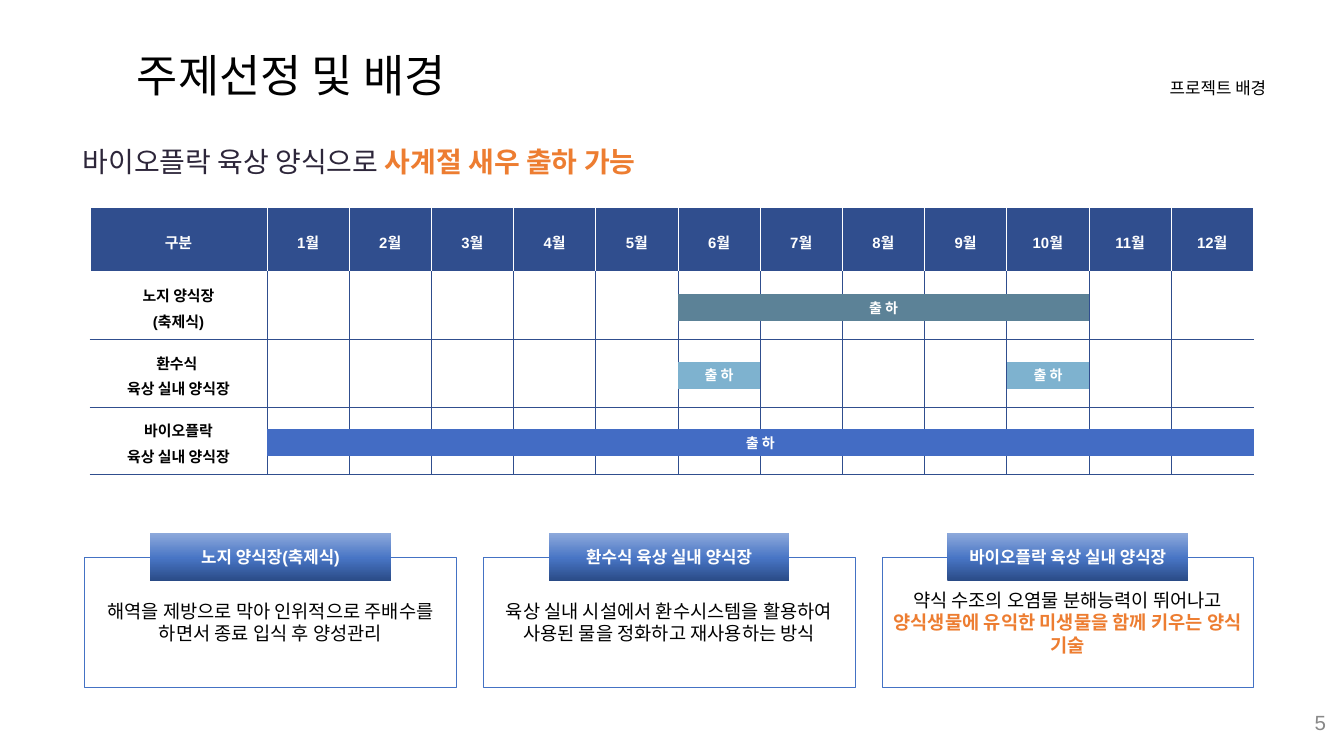
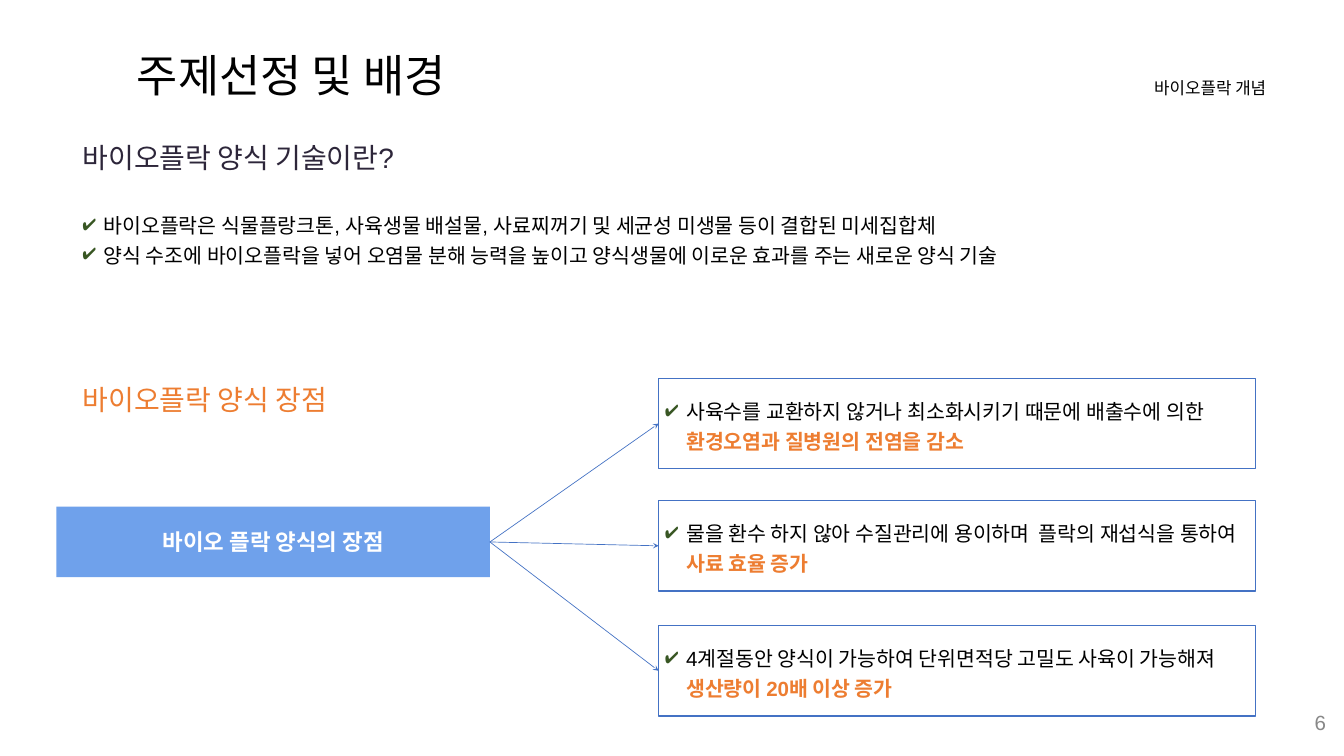
from copy import deepcopy

from lxml import etree
from pptx import Presentation
from pptx.dml.color import RGBColor
from pptx.enum.shapes import MSO_CONNECTOR, MSO_SHAPE
from pptx.enum.text import MSO_ANCHOR, PP_ALIGN
from pptx.oxml.ns import qn
from pptx.util import Pt

RECT = MSO_SHAPE.RECTANGLE
FLOW = MSO_SHAPE.FLOWCHART_PROCESS
STRAIGHT = MSO_CONNECTOR.STRAIGHT
TOP, MIDDLE = MSO_ANCHOR.TOP, MSO_ANCHOR.MIDDLE
LEFT, CENTER, RIGHT = PP_ALIGN.LEFT, PP_ALIGN.CENTER, PP_ALIGN.RIGHT

FONT = "Arial"
BLACK = RGBColor(0, 0, 0)
WHITE = RGBColor(0xFF, 0xFF, 0xFF)
INK = RGBColor(0x2D, 0x26, 0x3A)
GRAY = RGBColor(0x88, 0x88, 0x88)
ORANGE = RGBColor(0xED, 0x7D, 0x31)
GREEN = RGBColor(0x38, 0x56, 0x23)
NAVY = RGBColor(0x30, 0x4E, 0x8E)
BLUE = RGBColor(0x44, 0x72, 0xC4)
SKY = RGBColor(0x6F, 0xA1, 0xEB)
TEAL = RGBColor(0x5C, 0x82, 0x97)
PALE = RGBColor(0x7E, 0xB2, 0xCF)
ROYAL = RGBColor(0x43, 0x6C, 0xC4)
FADE = [
    (0, RGBColor(0x2A, 0x4B, 0x86)),
    (0.48, RGBColor(0x48, 0x75, 0xC5)),
    (1, RGBColor(0x8D, 0xA9, 0xDB)),
]

TITLE = "주제선정 및 배경"
HEAD = ["구분"] + [f"{month}월" for month in range(1, 13)]
FARMS = [
    ["노지 양식장", "(축제식)"],
    ["환수식 ", "육상 실내 양식장"],
    ["바이오플락", "육상 실내 양식장"],
]
SHIP = "출 하"
BARS = [(1, 6, 10, TEAL), (2, 6, 6, PALE), (2, 10, 10, PALE), (3, 1, 12, ROYAL)]
CARDS = [
    ("노지 양식장(축제식)",
     [("해역을 제방으로 막아 인위적으로 주배수를 하면서 종료 입식 후 양성관리", BLACK)]),
    ("환수식 육상 실내 양식장",
     [("육상 실내 시설에서 환수시스템을 활용하여 사용된 물을 정화하고 재사용하는 방식", BLACK)]),
    ("바이오플락 육상 실내 양식장",
     [("약식 수조의 오염물 분해능력이 뛰어나고 ", BLACK),
      ("양식생물에 유익한 미생물을 함께 키우는 양식 기술", ORANGE, True)]),
]
FACTS = [
    "바이오플락은 식물플랑크톤, 사육생물 배설물, 사료찌꺼기 및 세균성 미생물 등이 결합된 미세집합체",
    "양식 수조에 바이오플락을 넣어 오염물 분해 능력을 높이고 양식생물에 이로운 효과를 주는 새로운 양식 기술",
]
HUB = "바이오 플락 양식의 장점"
GAINS = [
    (405.4, "사육수를 교환하지 않거나 최소화시키기 때문에 배출수에 의한 ",
     "환경오염과 질병원의 전염을 감소"),
    (536.4, "물을 환수 하지 않아 수질관리에 용이하며  플락의 재섭식을 통하여 ",
     "사료 효율 증가"),
    (670.3, "4계절동안 양식이 가능하여 단위면적당 고밀도 사육이 가능해져 ",
     "생산량이 20배 이상 증가"),
]

GRID_X, GRID_Y = 96.5, 221.8
NAME_W, MONTH_W = 189.5, 88.1
HEAD_H, ROW_H = 70, 72.2
BAR_H = 28.8
CARD_X, CARD_Y, CARD_W, CARD_H, CARD_STEP = 90.7, 596.9, 398.2, 139.7, 427.1
TAB_W, TAB_H = 257.8, 51.1


def add(parent, tag, **attrs):
    return etree.SubElement(parent, qn(tag), attrs)


def paint(parent, color):
    add(add(parent, "a:solidFill"), "a:srgbClr", val=str(color))


def tick(para):
    props = para._p.get_or_add_pPr()
    props.set("marL", str(Pt(22.5)))
    props.set("indent", str(-Pt(22.5)))
    add(add(props, "a:buClr"), "a:srgbClr", val=str(GREEN))
    add(props, "a:buChar", char="✔")


def write(frame, paras, size, align=LEFT, anchor=MIDDLE, space=None, bullet=False):
    frame.word_wrap = True
    frame.vertical_anchor = anchor
    for i, runs in enumerate(paras):
        para = frame.add_paragraph() if i else frame.paragraphs[0]
        para.alignment = align
        if space:
            para.line_spacing = space
        if bullet:
            tick(para)
        para.font.name, para.font.size = FONT, Pt(size)
        if len(runs) == 1:
            para.font.color.rgb = runs[0][1]
            para.font.bold = len(runs[0]) > 2
        for text, color, *bold in runs:
            run = para.add_run()
            run.text = text
            if len(runs) > 1:
                run.font.color.rgb = color
                run.font.bold = bool(bold)


def label(slide, box, paras, size, **style):
    shape = slide.shapes.add_textbox(*map(Pt, box))
    write(shape.text_frame, paras, size, **style)


def block(slide, box, fill=None, line=None, kind=RECT):
    shape = slide.shapes.add_shape(kind, *map(Pt, box))
    shape.shadow.inherit = False
    if fill:
        shape.fill.solid()
        shape.fill.fore_color.rgb = fill
    else:
        shape.fill.background()
    if line:
        shape.line.color.rgb = BLUE
        shape.line.width = Pt(line)
    else:
        shape.line.fill.background()
    return shape


def fade(shape):
    shape.fill.gradient()
    shape.fill.gradient_angle = 90
    stops = shape._element.spPr.find(".//" + qn("a:gsLst"))
    stops.append(deepcopy(stops[0]))
    for stop, (place, color) in zip(shape.fill.gradient_stops, FADE):
        stop.position = place
        stop.color.rgb = color


def edge(cell, row, col):
    props = cell._tc.get_or_add_tcPr()
    white = {
        "L": row == 0 or col == 0,
        "R": row == 0 or col == len(HEAD) - 1,
        "T": row < 2,
        "B": row == 0,
    }
    for side, plain in white.items():
        width = 3 if plain and side == "B" else 1 if plain else 0.75
        line = add(props, f"a:ln{side}", w=str(Pt(width)))
        paint(line, WHITE if plain else NAVY)


def start(deck, topic, page):
    slide = deck.slides.add_slide(deck.slide_layouts[6])
    label(slide, (139.7, 47.5, 469.4, 65.5), [[(TITLE, BLACK)]], 48)
    label(slide, (1129.7, 79.9, 234, 28.8), [[(topic, BLACK)]], 18,
          align=RIGHT, anchor=TOP)
    label(slide, (1103.8, 752.4, 324, 43.2), [[(str(page), GRAY)]], 22, align=RIGHT)
    return slide


def lead(slide, top, runs):
    label(slide, (81.4, top, 672.5, 43.9), [runs], 30, anchor=TOP)


def calendar(slide):
    width = NAME_W + MONTH_W * 12
    height = HEAD_H + ROW_H * len(FARMS)
    table = slide.shapes.add_table(
        len(FARMS) + 1, len(HEAD), *map(Pt, (GRID_X, GRID_Y, width, height))).table
    table.first_row = table.horz_banding = False
    for i, col in enumerate(table.columns):
        col.width = Pt(MONTH_W if i else NAME_W)
    for i, row in enumerate(table.rows):
        row.height = Pt(ROW_H if i else HEAD_H)
        for j, cell in enumerate(row.cells):
            edge(cell, i, j)
            cell.fill.solid()
            cell.fill.fore_color.rgb = WHITE if i else NAVY
            cell.vertical_anchor = MIDDLE
            lines = [HEAD[j]] if i == 0 else FARMS[i - 1] if j == 0 else []
            color = BLACK if i else WHITE
            write(cell.text_frame, [[(text, color, True)] for text in lines], 16,
                  align=CENTER, space=1.2)
    for row, first, last, color in BARS:
        left = GRID_X + NAME_W + (first - 1) * MONTH_W
        top = GRID_Y + HEAD_H + (row - 0.5) * ROW_H - BAR_H / 2 + 2
        box = left, top, (last - first + 1) * MONTH_W, BAR_H
        bar = block(slide, box, color, kind=FLOW)
        write(bar.text_frame, [[(SHIP, WHITE, True)]], 15, align=CENTER)


def cards(slide):
    for i, (name, runs) in enumerate(CARDS):
        left = CARD_X + i * CARD_STEP
        card = block(slide, (left, CARD_Y, CARD_W, CARD_H), line=0.75)
        write(card.text_frame, [runs], 20, align=CENTER)
        tab = block(slide, (left + (CARD_W - TAB_W) / 2, CARD_Y - TAB_H / 2,
                            TAB_W, TAB_H))
        fade(tab)
        write(tab.text_frame, [[(name, WHITE, True)]], 18, align=CENTER)


def arrow(slide, source, target):
    line = slide.shapes.add_connector(STRAIGHT, 0, 0, 0, 0)
    line.begin_connect(source, 3)
    line.end_connect(target, 1)
    line.line.color.rgb = BLUE
    line.line.width = Pt(0.75)
    add(line.line._get_or_add_ln(), "a:tailEnd", type="stealth")
    add(line._element.spPr, "a:effectLst")


def gains(slide):
    hub = block(slide, (60.5, 542.9, 464.4, 75.6), SKY)
    write(hub.text_frame, [[(HUB, WHITE, True)]], 24, align=CENTER)
    for top, cause, result in GAINS:
        gain = block(slide, (705.6, top, 639.4, 96.8), WHITE, 1.5)
        write(gain.text_frame, [[(cause, BLACK), (result, ORANGE, True)]], 22,
              space=1.2, bullet=True)
        arrow(slide, hub, gain)


def main():
    deck = Presentation()
    deck.slide_width, deck.slide_height = Pt(1440), Pt(810)

    slide = start(deck, "프로젝트 배경", 5)
    lead(slide, 151.2, [("바이오플락 육상 양식으로 ", INK),
                        ("사계절 새우 출하 가능", ORANGE, True)])
    calendar(slide)
    cards(slide)

    slide = start(deck, "바이오플락 개념", 6)
    lead(slide, 146.9, [("바이오플락 양식 기술이란?", INK)])
    label(slide, (81.4, 219.6, 1262.2, 66.2), [[(fact, BLACK)] for fact in FACTS], 22,
          anchor=TOP, space=1.2, bullet=True)
    lead(slide, 406.1, [("바이오플락 양식 장점", ORANGE)])
    gains(slide)

    deck.save("out.pptx")


if __name__ == "__main__":
    main()
